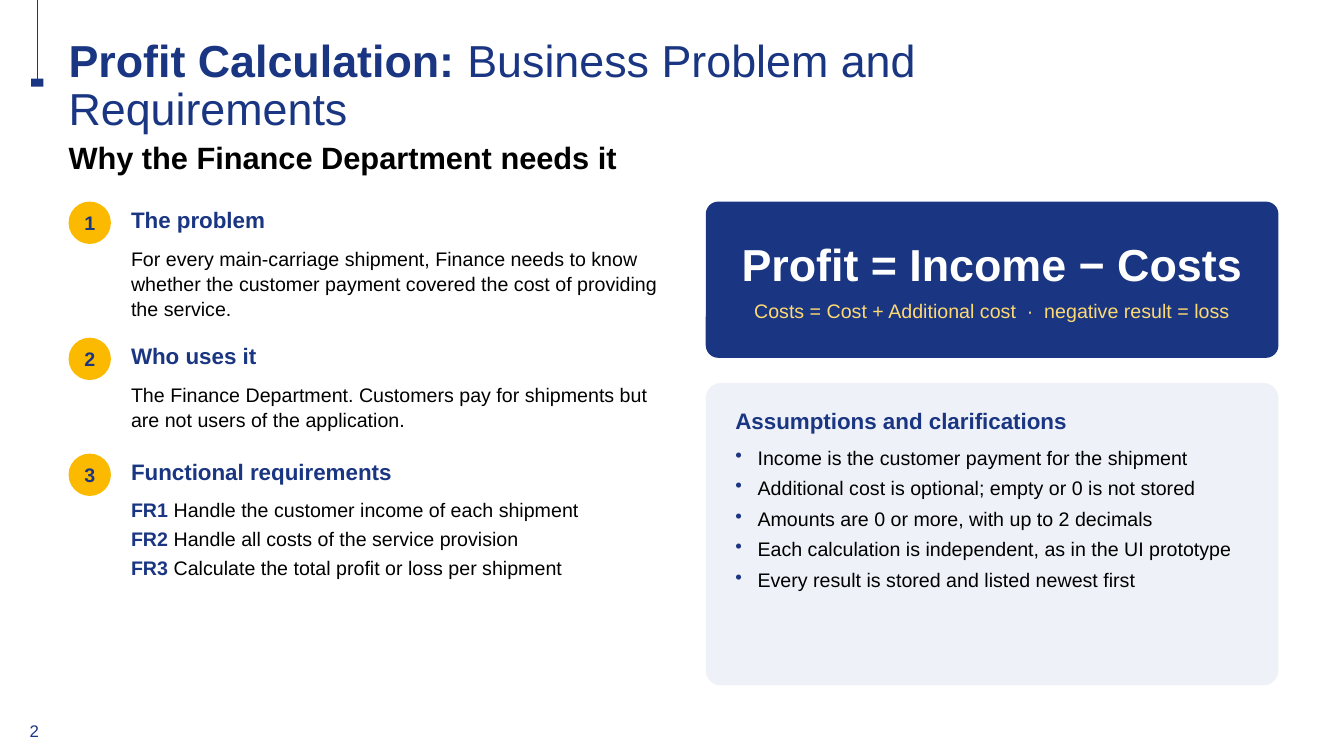
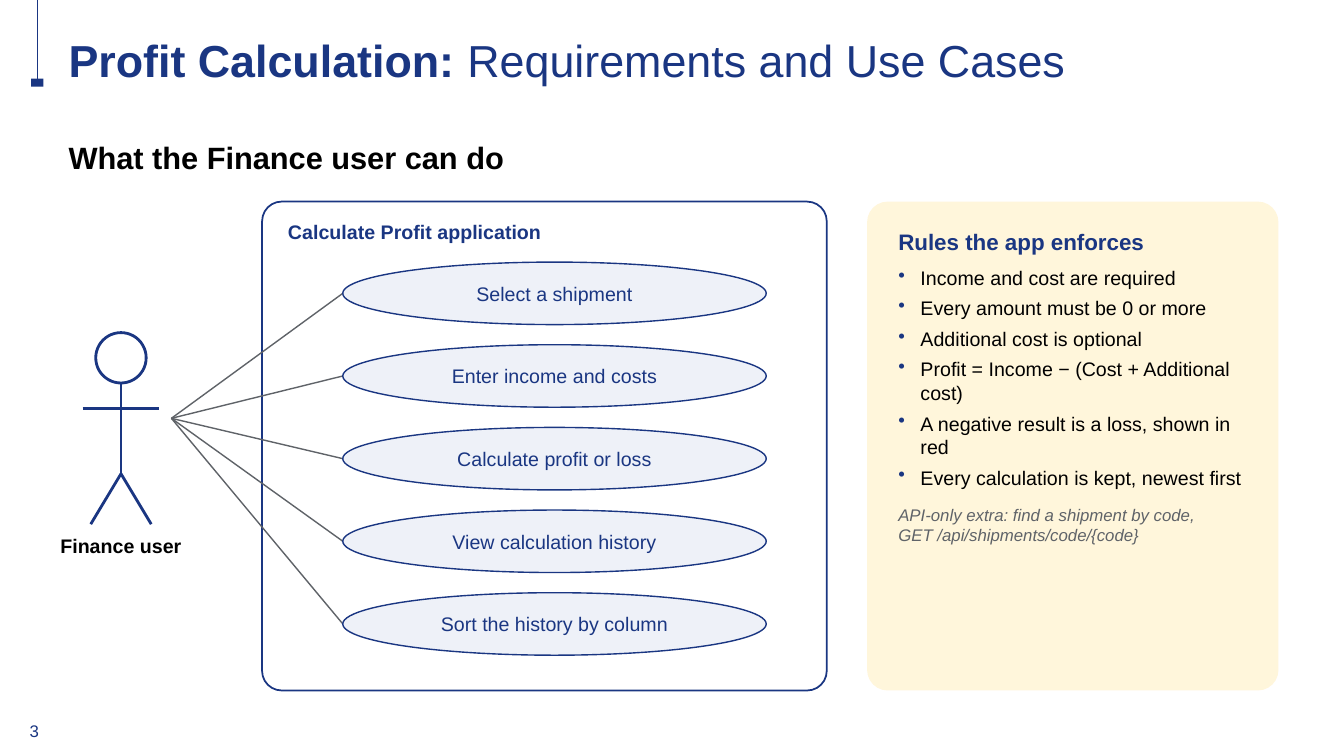
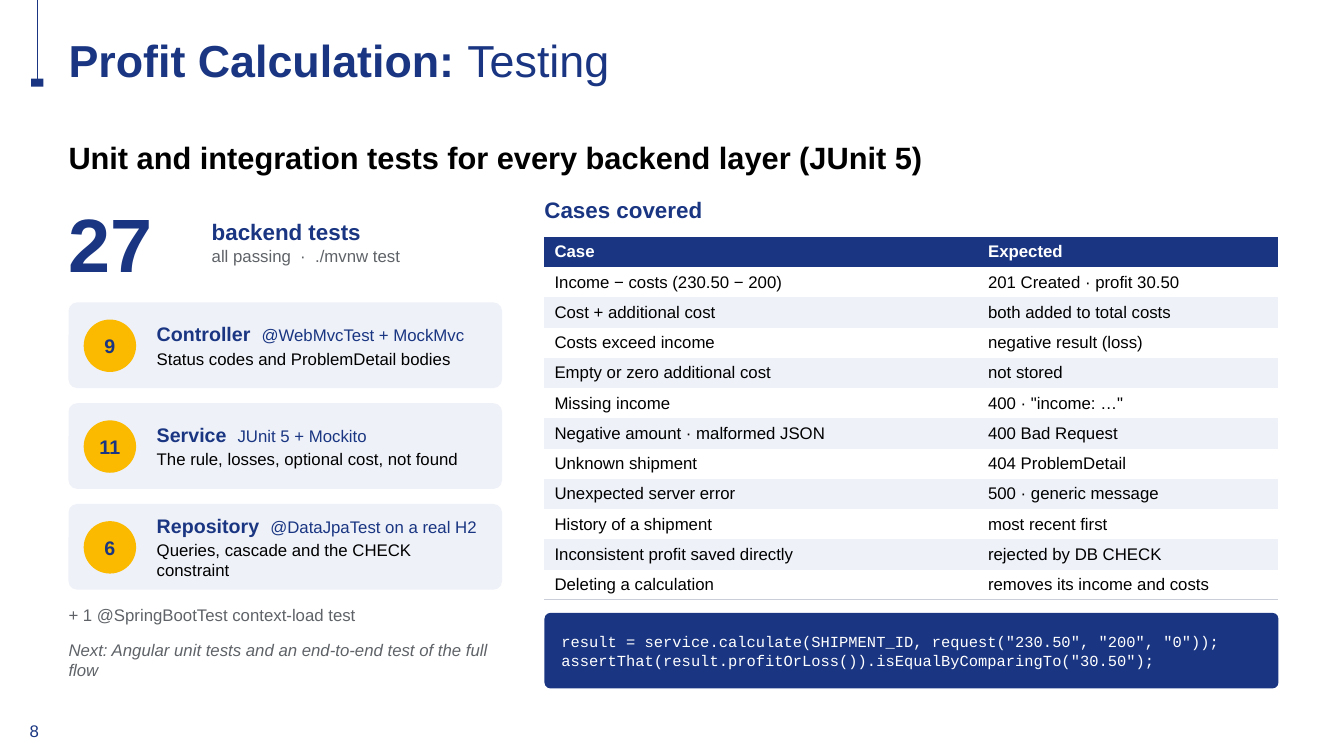
import pptx
import pptx.dml.color
import pptx.enum.shapes
import pptx.enum.text
import pptx.oxml.ns
import pptx.util
import lxml.etree

NAVY = pptx.dml.color.RGBColor(0x1A, 0x36, 0x82)
AMBER = pptx.dml.color.RGBColor(0xFB, 0xBA, 0x00)
GOLD = pptx.dml.color.RGBColor(0xFD, 0xD9, 0x73)
CREAM = pptx.dml.color.RGBColor(0xFF, 0xF6, 0xDB)
MIST = pptx.dml.color.RGBColor(0xEE, 0xF1, 0xF8)
GREY = pptx.dml.color.RGBColor(0x5F, 0x63, 0x68)
RULE = pptx.dml.color.RGBColor(0xC9, 0xCE, 0xD8)
BLACK = pptx.dml.color.RGBColor(0, 0, 0)
WHITE = pptx.dml.color.RGBColor(0xFF, 0xFF, 0xFF)

RECT = pptx.enum.shapes.MSO_SHAPE.RECTANGLE
ROUND = pptx.enum.shapes.MSO_SHAPE.ROUNDED_RECTANGLE
OVAL = pptx.enum.shapes.MSO_SHAPE.OVAL
LEFT = pptx.enum.text.PP_ALIGN.LEFT
CENTER = pptx.enum.text.PP_ALIGN.CENTER
TOP = pptx.enum.text.MSO_ANCHOR.TOP
MIDDLE = pptx.enum.text.MSO_ANCHOR.MIDDLE


def place(slide, kind, at, paragraphs=(), fill=None, line=None, width=1, corner=None,
          inset=(0, 0, 0, 0), anchor=TOP, align=LEFT, font="Arial"):
    frame = [pptx.util.Inches(value) for value in at]
    if kind is None:
        shape = slide.shapes.add_textbox(*frame)
    else:
        shape = slide.shapes.add_shape(kind, *frame)
        shape.shadow.inherit = False
        if fill is None:
            shape.fill.background()
        else:
            shape.fill.solid()
            shape.fill.fore_color.rgb = fill
        if line is None:
            shape.line.fill.background()
        else:
            shape.line.color.rgb = line
            shape.line.width = pptx.util.Pt(width)
        if corner is not None:
            shape.adjustments[0] = corner
    text = shape.text_frame
    text.word_wrap = True
    text.vertical_anchor = anchor
    text.margin_left, text.margin_top, text.margin_right, text.margin_bottom = [
        pptx.util.Inches(value) for value in inset]
    for index, (runs, layout) in enumerate(paragraphs):
        paragraph = text.paragraphs[0] if index == 0 else text.add_paragraph()
        paragraph.alignment = align
        if "bullet" in layout:
            properties = paragraph._p.get_or_add_pPr()
            properties.set("marL", str(pptx.util.Inches(0.22)))
            properties.set("indent", str(pptx.util.Inches(-0.22)))
            tint = lxml.etree.SubElement(properties, pptx.oxml.ns.qn("a:buClr"))
            lxml.etree.SubElement(tint, pptx.oxml.ns.qn("a:srgbClr"), val=str(NAVY))
            lxml.etree.SubElement(properties, pptx.oxml.ns.qn("a:buChar"), char=layout["bullet"])
        if "spacing" in layout:
            paragraph.line_spacing = layout["spacing"]
        if "before" in layout:
            paragraph.space_before = pptx.util.Pt(layout["before"])
        if "after" in layout:
            paragraph.space_after = pptx.util.Pt(layout["after"])
        for words, size, color, style in runs:
            run = paragraph.add_run()
            run.text = words
            run.font.name = font
            run.font.size = pptx.util.Pt(size)
            run.font.color.rgb = color
            run.font.bold = style == "bold"
            run.font.italic = style == "italic"


def connect(slide, start, end, color, width):
    connector = slide.shapes.add_connector(
        pptx.enum.shapes.MSO_CONNECTOR.STRAIGHT,
        *[pptx.util.Inches(value) for value in (*start, *end)])
    connector.line.color.rgb = color
    connector.line.width = pptx.util.Pt(width)
    lxml.etree.SubElement(connector._element.spPr, pptx.oxml.ns.qn("a:effectLst"))


deck = pptx.Presentation()
deck.slide_width = pptx.util.Inches(13.33)
deck.slide_height = pptx.util.Inches(7.5)

headings = [
    ("2", "Business Problem and Requirements", "Why the Finance Department needs it"),
    ("3", "Requirements and Use Cases", "What the Finance user can do"),
    ("8", "Testing", "Unit and integration tests for every backend layer (JUnit 5)"),
]
slides = []
for page, topic, subtitle in headings:
    slide = deck.slides.add_slide(deck.slide_layouts[6])
    connect(slide, (0.37, 0), (0.37, 0.78), NAVY, 0.75)
    place(slide, RECT, (0.31, 0.78, 0.12, 0.08), fill=NAVY)
    place(slide, None, (0.68, 0.38, 10.63, 0.59),
          [([("Profit Calculation: ", 32, NAVY, "bold"), (topic, 32, NAVY, "")], {"spacing": 0.9})])
    place(slide, None, (0.68, 1.42, 11.6, 0.42),
          [([(subtitle, 22, BLACK, "bold")], {"spacing": 0.9})])
    place(slide, None, (0, 7.15, 0.68, 0.35), [([(page, 12, NAVY, "")], {})], align=CENTER)
    slides.append(slide)
problem, use_cases, testing = slides

requirements = [
    ("FR1 ", "Handle the customer income of each shipment"),
    ("FR2 ", "Handle all costs of the service provision"),
    ("FR3 ", "Calculate the total profit or loss per shipment"),
]
topics = [
    (2, "The problem", 0.8,
     [([("For every main-carriage shipment, Finance needs to know whether the customer payment "
         "covered the cost of providing the service.", 14, BLACK, "")], {"spacing": 1.05})]),
    (3.35, "Who uses it", 0.55,
     [([("The Finance Department. Customers pay for shipments but are not users of the "
         "application.", 14, BLACK, "")], {"spacing": 1.05})]),
    (4.5, "Functional requirements", 1.2,
     [([(code, 14, NAVY, "bold"), (need, 14, BLACK, "")], {"after": 4})
      for code, need in requirements]),
]
for number, (top, heading, height, body) in enumerate(topics, 1):
    place(problem, OVAL, (0.68, top, 0.42, 0.42), [([(str(number), 14, NAVY, "bold")], {})],
          fill=AMBER, anchor=MIDDLE, align=CENTER)
    place(problem, None, (1.3, top + 0.04, 5.3, 0.35), [([(heading, 16, NAVY, "bold")], {})])
    place(problem, None, (1.3, top + 0.44, 5.3, height), body)

place(problem, ROUND, (7, 2, 5.68, 1.55),
      [([("Profit = Income − Costs", 32, WHITE, "bold")], {"after": 6}),
       ([("Costs = Cost + Additional cost  ·  negative result = loss", 14, GOLD, "")], {})],
      fill=NAVY, corner=0.08, inset=(0.12, 0.08, 0.12, 0.08), anchor=MIDDLE, align=CENTER)

panels = [
    (problem, (7, 3.8, 5.68, 3), MIST, "Assumptions and clarifications", [
        "Income is the customer payment for the shipment",
        "Additional cost is optional; empty or 0 is not stored",
        "Amounts are 0 or more, with up to 2 decimals",
        "Each calculation is independent, as in the UI prototype",
        "Every result is stored and listed newest first",
    ], []),
    (use_cases, (8.6, 2, 4.08, 4.85), CREAM, "Rules the app enforces", [
        "Income and cost are required",
        "Every amount must be 0 or more",
        "Additional cost is optional",
        "Profit = Income − (Cost + Additional cost)",
        "A negative result is a loss, shown in red",
        "Every calculation is kept, newest first",
    ], [([("API-only extra: find a shipment by code, GET /api/shipments/code/{code}",
           12, GREY, "italic")], {"before": 6})]),
]
for slide, at, fill, heading, points, remark in panels:
    place(slide, ROUND, at,
          [([(heading, 16, NAVY, "bold")], {"after": 8})]
          + [([(point, 14, BLACK, "")], {"bullet": "•", "after": 5}) for point in points]
          + remark,
          fill=fill, corner=0.05, inset=(0.25, 0.2, 0.25, 0.15))

place(use_cases, OVAL, (0.95, 3.3, 0.5, 0.5), fill=WHITE, line=NAVY, width=2)
limbs = [
    ((1.2, 3.8), (1.2, 4.7)),
    ((0.82, 4.05), (1.58, 4.05)),
    ((1.2, 4.7), (0.9, 5.2)),
    ((1.2, 4.7), (1.5, 5.2)),
]
for start, end in limbs:
    connect(use_cases, start, end, NAVY, 2)
place(use_cases, None, (0.45, 5.3, 1.5, 0.35), [([("Finance user", 14, BLACK, "bold")], {})],
      align=CENTER)
place(use_cases, ROUND, (2.6, 2, 5.6, 4.85),
      [([("Calculate Profit application", 14, NAVY, "bold")], {})],
      line=NAVY, width=1.25, corner=0.04, inset=(0.2, 0.12, 0.2, 0.1))
actions = [
    "Select a shipment",
    "Enter income and costs",
    "Calculate profit or loss",
    "View calculation history",
    "Sort the history by column",
]
for index, action in enumerate(actions):
    top = 2.6 + 0.82 * index
    connect(use_cases, (1.7, 4.15), (3.4, top + 0.31), GREY, 1)
    place(use_cases, OVAL, (3.4, top, 4.2, 0.62), [([(action, 14, NAVY, "")], {})],
          fill=MIST, line=NAVY, inset=(0.1, 0, 0.1, 0), anchor=MIDDLE, align=CENTER)

place(testing, None, (0.68, 1.95, 1.5, 0.9), [([("27", 54, NAVY, "bold")], {})], anchor=MIDDLE)
place(testing, None, (2.1, 1.95, 2.9, 0.9),
      [([("backend tests", 16, NAVY, "bold")], {}),
       ([("all passing  ·  ./mvnw test", 12, GREY, "")], {})], anchor=MIDDLE)
layers = [
    ("9", "Controller  ", "@WebMvcTest + MockMvc", "Status codes and ProblemDetail bodies"),
    ("11", "Service  ", "JUnit 5 + Mockito", "The rule, losses, optional cost, not found"),
    ("6", "Repository  ", "@DataJpaTest on a real H2", "Queries, cascade and the CHECK constraint"),
]
for top, (count, layer, tools, scope) in enumerate(layers, 3):
    place(testing, ROUND, (0.68, top, 4.3, 0.85),
          [([(layer, 14, NAVY, "bold"), (tools, 12, NAVY, "")], {"after": 2}),
           ([(scope, 12, BLACK, "")], {})],
          fill=MIST, corner=0.1, inset=(0.85, 0.06, 0.12, 0.06), anchor=MIDDLE)
    place(testing, OVAL, (0.83, top + 0.17, 0.52, 0.52), [([(count, 14, NAVY, "bold")], {})],
          fill=AMBER, anchor=MIDDLE, align=CENTER)
place(testing, None, (0.68, 6, 4.3, 0.3),
      [([("+ 1 @SpringBootTest context-load test", 12, GREY, "")], {})])
place(testing, None, (0.68, 6.35, 4.3, 0.5),
      [([("Next: Angular unit tests and an end-to-end test of the full flow", 12, GREY, "italic")], {})])
place(testing, None, (5.4, 1.95, 7.28, 0.35), [([("Cases covered", 16, NAVY, "bold")], {})])

cases = [
    ("Case", "Expected"),
    ("Income − costs (230.50 − 200)", "201 Created · profit 30.50"),
    ("Cost + additional cost", "both added to total costs"),
    ("Costs exceed income", "negative result (loss)"),
    ("Empty or zero additional cost", "not stored"),
    ("Missing income", '400 · "income: …"'),
    ("Negative amount · malformed JSON", "400 Bad Request"),
    ("Unknown shipment", "404 ProblemDetail"),
    ("Unexpected server error", "500 · generic message"),
    ("History of a shipment", "most recent first"),
    ("Inconsistent profit saved directly", "rejected by DB CHECK"),
    ("Deleting a calculation", "removes its income and costs"),
]
case_table = testing.shapes.add_table(
    len(cases), 2, pptx.util.Inches(5.4), pptx.util.Inches(2.35),
    pptx.util.Inches(7.28), pptx.util.Inches(0.3 * len(cases))).table
case_table.horz_banding = False
case_table._tbl.tblPr.find(pptx.oxml.ns.qn("a:tableStyleId")).text = "{2D5ABB26-0587-4C30-8999-92F81FD0307C}"
case_table.columns[0].width = pptx.util.Inches(4.3)
case_table.columns[1].width = pptx.util.Inches(2.98)
for row, entries in enumerate(cases):
    case_table.rows[row].height = pptx.util.Inches(0.3)
    for column, entry in enumerate(entries):
        cell = case_table.cell(row, column)
        cell.vertical_anchor = MIDDLE
        cell.margin_left = cell.margin_right = pptx.util.Inches(0.1)
        cell.margin_top = cell.margin_bottom = pptx.util.Inches(0.03)
        if row == len(cases) - 1:
            border = lxml.etree.SubElement(cell._tc.get_or_add_tcPr(), pptx.oxml.ns.qn("a:lnB"),
                                           w=str(pptx.util.Pt(0.5)))
            ink = lxml.etree.SubElement(border, pptx.oxml.ns.qn("a:solidFill"))
            lxml.etree.SubElement(ink, pptx.oxml.ns.qn("a:srgbClr"), val=str(RULE))
        cell.fill.solid()
        cell.fill.fore_color.rgb = NAVY if row == 0 else (MIST if row % 2 == 0 else WHITE)
        run = cell.text_frame.paragraphs[0].add_run()
        run.text = entry
        run.font.name = "Arial"
        run.font.size = pptx.util.Pt(12)
        run.font.bold = row == 0
        run.font.color.rgb = WHITE if row == 0 else BLACK

snippet = [
    'result = service.calculate(SHIPMENT_ID, request("230.50", "200", "0"));',
    'assertThat(result.profitOrLoss()).isEqualByComparingTo("30.50");',
]
place(testing, ROUND, (5.4, 6.08, 7.28, 0.75),
      [([(statement, 11, WHITE, "")], {}) for statement in snippet],
      fill=NAVY, corner=0.08, inset=(0.15, 0.04, 0.1, 0.04), anchor=MIDDLE, font="Courier New")

deck.save("out.pptx")
